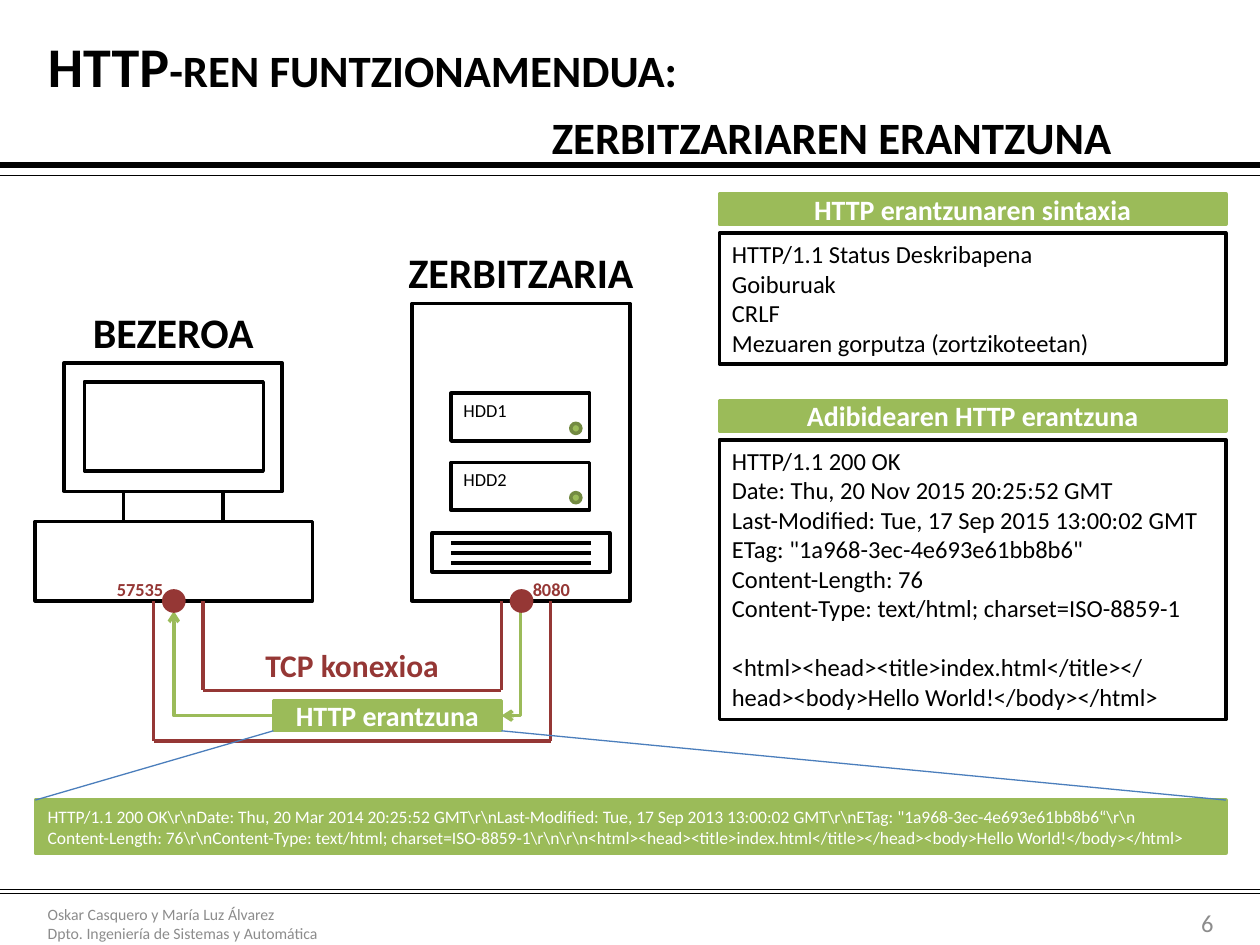
"""Builds the slide on how a server answers an HTTP request."""
import pptx
import pptx.dml.color
import pptx.enum.shapes
import pptx.enum.text
import pptx.oxml.ns
import pptx.util
from lxml import etree

BLACK = pptx.dml.color.RGBColor(0x00, 0x00, 0x00)
WHITE = pptx.dml.color.RGBColor(0xFF, 0xFF, 0xFF)
GRAY = pptx.dml.color.RGBColor(0x8C, 0x8C, 0x8C)
GREEN = pptx.dml.color.RGBColor(0x9B, 0xBB, 0x59)
DARK_GREEN = pptx.dml.color.RGBColor(0x73, 0x8A, 0x42)
RED = pptx.dml.color.RGBColor(0x95, 0x37, 0x35)
BLUE = pptx.dml.color.RGBColor(0x4B, 0x7E, 0xBC)

SHAPE = pptx.enum.shapes.MSO_SHAPE
CONNECTOR = pptx.enum.shapes.MSO_CONNECTOR
ALIGN = pptx.enum.text.PP_ALIGN
ANCHOR = pptx.enum.text.MSO_ANCHOR
FIT = pptx.enum.text.MSO_AUTO_SIZE

COLUMNS, ROWS = 100, 75
LEFT, WIDTH = 2.8, 94.5
PANEL_LEFT, PANEL_WIDTH = 57.1, 40.2
PORT_ROW = 47.7

SYNTAX = """HTTP/1.1 Status Deskribapena
Goiburuak
CRLF
Mezuaren gorputza (zortzikoteetan)"""
EXAMPLE = """HTTP/1.1 200 OK
Date: Thu, 20 Nov 2015 20:25:52 GMT
Last-Modified: Tue, 17 Sep 2015 13:00:02 GMT
ETag: "1a968-3ec-4e693e61bb8b6"
Content-Length: 76
Content-Type: text/html; charset=ISO-8859-1
<html><head><title>index.html</title></head><body>Hello World!</body></html>"""
MESSAGE = r"""HTTP/1.1 200 OK\r\nDate: Thu, 20 Mar 2014 20:25:52 GMT\r\nLast-Modified: Tue, 17 Sep 2013 13:00:02 GMT\r\nETag: "1a968-3ec-4e693e61bb8b6“\r\n
Content-Length: 76\r\nContent-Type: text/html; charset=ISO-8859-1\r\n\r\n<html><head><title>index.html</title></head><body>Hello World!</body></html>"""


def write(frame, text, size=14, color=BLACK, bold=False, align=ALIGN.LEFT,
          anchor=ANCHOR.TOP, fit=FIT.NONE, small_caps=False):
    """Fill a text frame, one paragraph for each line of text."""
    frame.word_wrap, frame.auto_size, frame.vertical_anchor = True, fit, anchor
    for index, line in enumerate(text.split("\n")):
        para = frame.add_paragraph() if index else frame.paragraphs[0]
        para.alignment = align
        span = para.add_run()
        span.text = line
        span.font.name, span.font.size = "Calibri", pptx.util.Pt(size)
        span.font.bold, span.font.color.rgb = bold, color
        if small_caps:
            span.font._element.set("cap", "small")


class Page:
    """Holds the current slide and the style of its elements."""

    def __init__(self, deck):
        """Add a slide and measure its grid."""
        self.slide = deck.slides.add_slide(deck.slide_layouts[5])
        self.shapes = self.slide.shapes
        self.cell_width = deck.slide_width / COLUMNS
        self.cell_height = deck.slide_height / ROWS

    def across(self, columns):
        """Turn columns into a length."""
        return round(columns * self.cell_width)

    def down(self, rows):
        """Turn rows into a length."""
        return round(rows * self.cell_height)

    def area(self, column, row, width, height):
        """Turn a grid area into lengths."""
        return self.across(column), self.down(row), self.across(width), self.down(height)

    def title(self, text, tab, *area):
        """Move the title placeholder, fill it and set a tab stop."""
        box = self.shapes.title
        box.left, box.top, box.width, box.height = self.area(*area)
        write(box.text_frame, text, size=32, bold=True, anchor=ANCHOR.MIDDLE, small_caps=True)
        for para in box.text_frame.paragraphs:
            stops = etree.SubElement(para._p.get_or_add_pPr(), pptx.oxml.ns.qn("a:tabLst"))
            etree.SubElement(stops, pptx.oxml.ns.qn("a:tab"), pos=str(self.across(tab)), algn="l")

    def label(self, text, *area, **style):
        """Add a text box."""
        write(self.shapes.add_textbox(*self.area(*area)).text_frame, text, **style)

    def box(self, *area, kind=SHAPE.RECTANGLE, fill=None, line=BLACK):
        """Add a preset shape."""
        box = self.shapes.add_shape(kind, *self.area(*area))
        box.shadow.inherit = False
        if fill is None:
            box.fill.background()
        else:
            box.fill.solid()
            box.fill.fore_color.rgb = fill
        box.line.color.rgb, box.line.width = line, pptx.util.Pt(2)
        return box

    def dot(self, column, row, size, fill, line):
        """Add a circle around a centre."""
        self.box(column - size / 2, row - size / 2, size, size, kind=SHAPE.OVAL, fill=fill, line=line)

    def banner(self, text, *area, **style):
        """Add a green bar with white text."""
        bar = self.box(*area, fill=GREEN, line=GREEN)
        write(bar.text_frame, text, color=WHITE, anchor=ANCHOR.MIDDLE, **style)

    def heading(self, text, *area):
        """Add a green bar with a bold centred heading."""
        self.banner(text, *area, size=16, bold=True, align=ALIGN.CENTER)

    def panel(self, heading, text, row, height):
        """Add a heading with a framed text under it."""
        self.heading(heading, PANEL_LEFT, row, PANEL_WIDTH, 2.4)
        frame = self.box(PANEL_LEFT, row + 3.1, PANEL_WIDTH, height).text_frame
        write(frame, text)
        return frame

    def line(self, x1, y1, x2, y2, color=BLACK, width=2, kind=CONNECTOR.STRAIGHT):
        """Add a connector between two grid points."""
        line = self.shapes.add_connector(
            kind, self.across(x1), self.down(y1), self.across(x2), self.down(y2))
        line.line.color.rgb, line.line.width = color, pptx.util.Pt(width)
        etree.SubElement(line._element.spPr, pptx.oxml.ns.qn("a:effectLst"))
        return line

    def elbow(self, x1, y1, x2, y2, rotation=0):
        """Add a green one-bend arrow, given before its rotation."""
        arrow = self.line(x1, y1, x2, y2, GREEN, kind=CONNECTOR.ELBOW)
        properties = arrow._element.spPr
        properties.find(pptx.oxml.ns.qn("a:prstGeom")).set("prst", "bentConnector2")
        properties.find(pptx.oxml.ns.qn("a:xfrm")).set("rot", str(rotation * 60000))
        etree.SubElement(arrow.line._get_or_add_ln(), pptx.oxml.ns.qn("a:tailEnd"), type="arrow")


def draw_frame(page):
    """Draw the title, rules and footer."""
    for row, width in ((13.1, 3), (13.9, 0.25), (70.6, 0.25), (70.9, 0.25)):
        page.line(0, row, COLUMNS, row, width=width)
    page.title("HTTP-ren funtzionamendua:\n\tzerbitzariaren erantzuna", 40, LEFT, 2.9, WIDTH, 9.8)
    page.label("Oskar Casquero y María Luz Álvarez\nDpto. Ingeniería de Sistemas y Automática",
               LEFT, 71.3, 37, 4, size=9, color=GRAY, anchor=ANCHOR.MIDDLE)
    page.label("6", 89.4, 71.8, 7.9, 2.8, size=14, color=GRAY,
               align=ALIGN.RIGHT, anchor=ANCHOR.MIDDLE)


def draw_machines(page):
    """Draw the client and the server."""
    for area in ((5.1, 28.8, 17.3, 10.2), (6.7, 30.3, 14.2, 7.1), (2.8, 41.4, 22, 6.3),
                 (9.8, 39, 7.9, 2.4), (32.7, 24.1, 17.3, 23.6), (34.3, 42.3, 14.1, 3.1)):
        page.box(*area)
    for slot in range(3):
        row = 43.1 + 0.8 * slot
        page.line(35.8, row, 46.9, row)
    for name, row in (("HDD1", 31.2), ("HDD2", 36.7)):
        page.box(35.8, row, 11, 3.8)
        page.dot(45.7, row + 2.8, 0.8, GREEN, DARK_GREEN)
        page.label(name, 35.8, row, 5.5, 2.8, size=10.5, fit=FIT.SHAPE_TO_FIT_TEXT)
    for name, column, row, width in (("BEZEROA", 5.9, 23.8, 15.7), ("ZERBITZARIA", 31.1, 19.1, 20.5)):
        page.label(name, column, row, width, 5, size=24, bold=True,
                   align=ALIGN.CENTER, fit=FIT.SHAPE_TO_FIT_TEXT)


def draw_connection(page):
    """Draw the TCP connection and the answer travelling through it."""
    for left, right, bottom in ((16.1, 39.8, 54.8), (12.2, 43.7, 58.8)):
        page.line(left, PORT_ROW, left, bottom, RED)
        page.line(right, PORT_ROW, right, bottom, RED)
        page.line(left, bottom, right, bottom, RED)
    page.label("TCP konexioa", 19.3, 50.8, 17.3, 4, size=18, color=RED, bold=True,
               align=ALIGN.CENTER, fit=FIT.SHAPE_TO_FIT_TEXT)
    page.heading("HTTP erantzuna", 21.7, 55.6, 18.1, 2.4)
    page.elbow(21.7, 56.8, 13.8, 48.5)
    page.elbow(36.4, 51.9, 44.7, 53.4, rotation=90)
    for port, center, column, width in (("57535", 13.8, 8.3, 6.3), ("8080", 41.4, 41.3, 5.5)):
        page.dot(center, PORT_ROW, 1.6, RED, RED)
        page.label(port, column, 45.4, width, 2.8, size=10.5, color=RED, bold=True,
                   fit=FIT.SHAPE_TO_FIT_TEXT)


def main():
    """Build and save the deck."""
    deck = pptx.Presentation()
    deck.slide_width, deck.slide_height = pptx.util.Inches(10), pptx.util.Inches(7.5)
    page = Page(deck)
    draw_frame(page)
    draw_machines(page)
    draw_connection(page)
    page.panel("HTTP erantzunaren sintaxia", SYNTAX, 15.4, 10.4)
    example = page.panel("Adibidearen HTTP erantzuna", EXAMPLE, 31.8, 22.2)
    example.paragraphs[-1].space_before = pptx.util.Pt(17)
    page.banner(MESSAGE, LEFT, 63.5, WIDTH, 4.2, size=10)
    page.line(LEFT, 63.5, 21.7, 58, BLUE, 0.75)
    page.line(LEFT + WIDTH, 63.5, 39.8, 58, BLUE, 0.75)
    deck.save("out.pptx")


if __name__ == "__main__":
    main()
